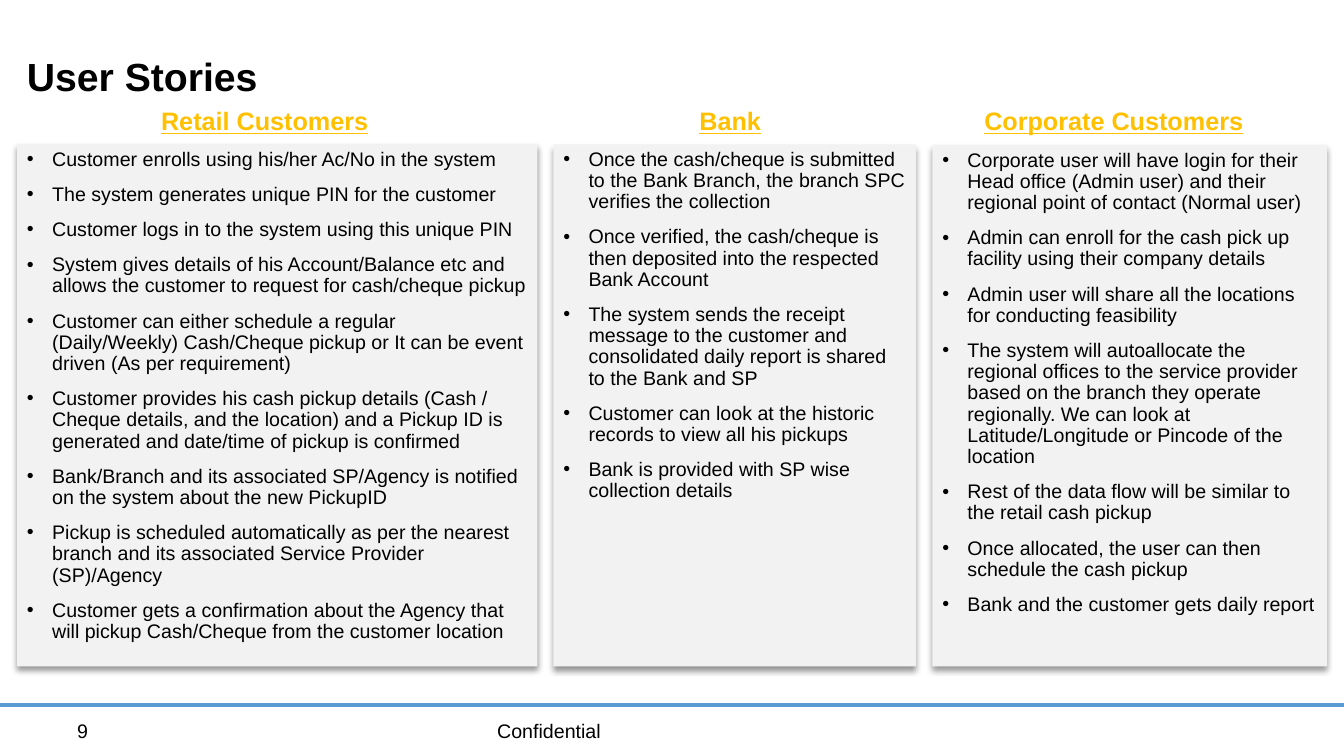
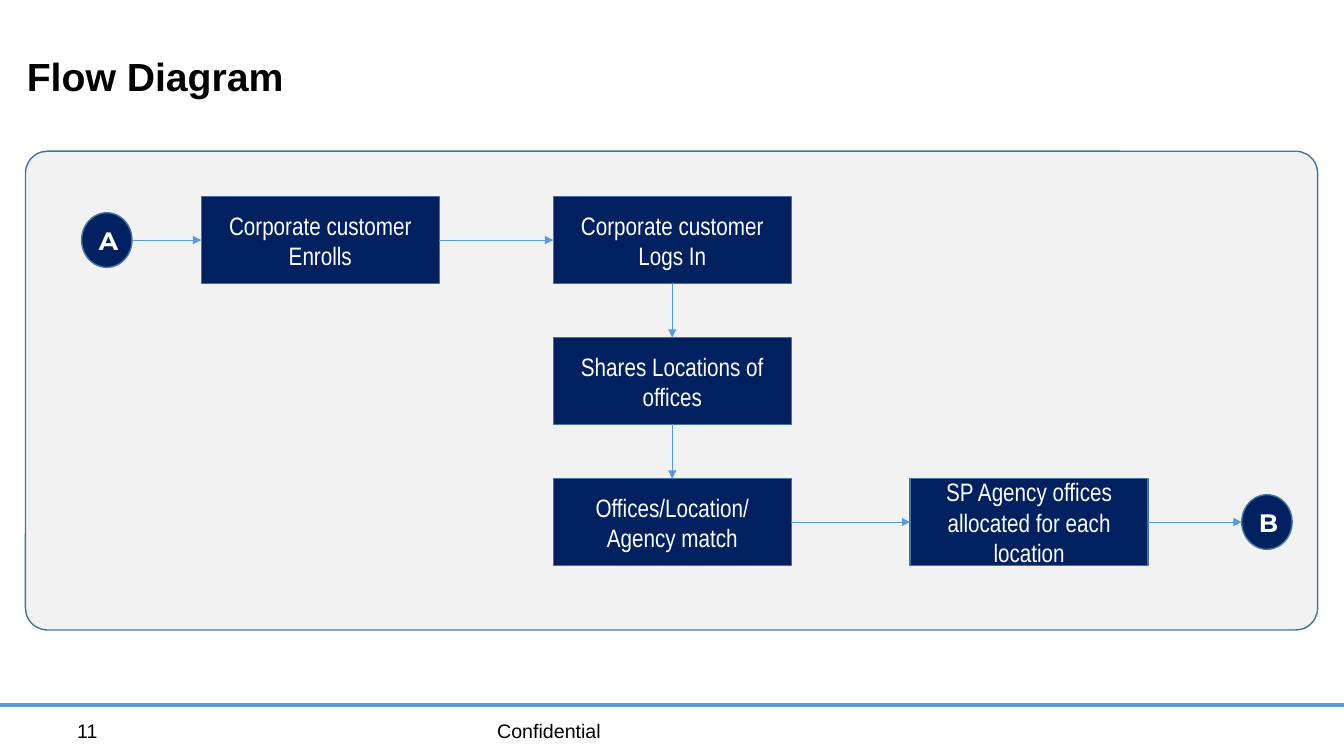
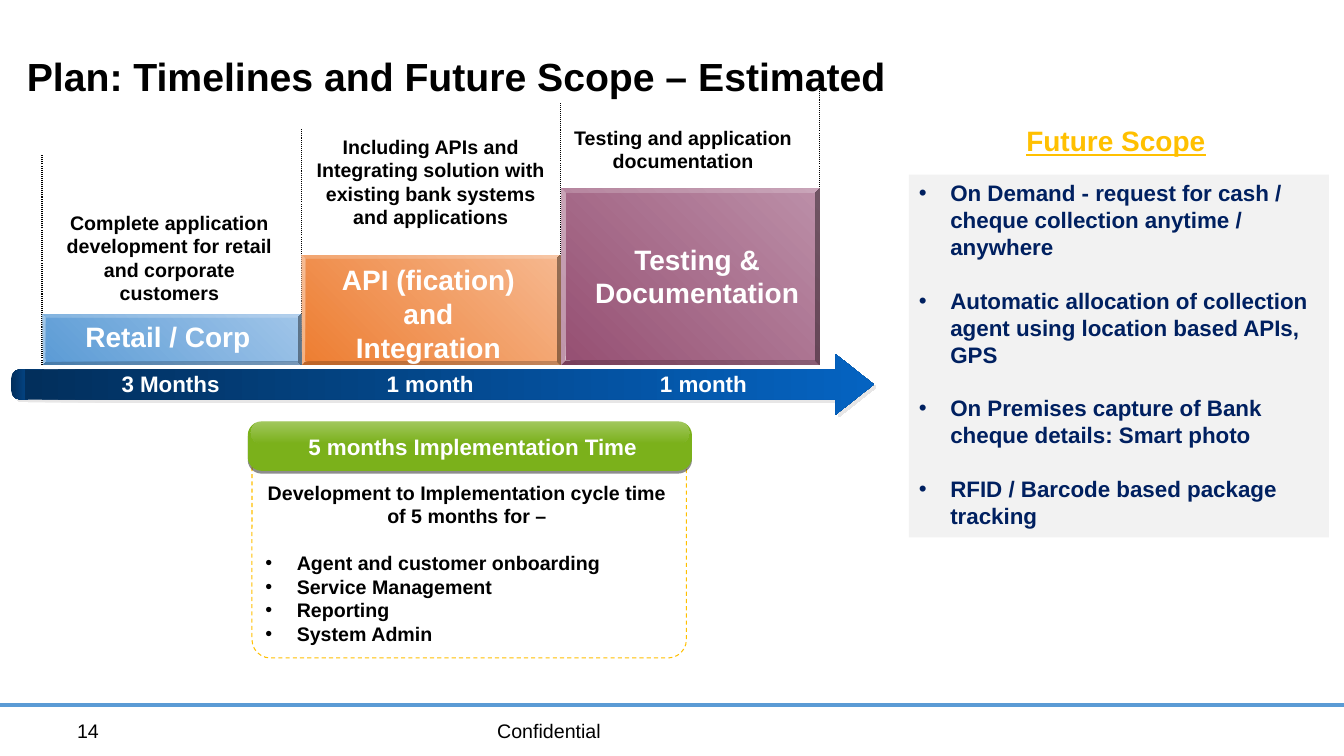
from lxml.etree import SubElement as Sub
from pptx import Presentation
from pptx.dml.color import RGBColor as Rgb
from pptx.enum.dml import MSO_LINE as Dash
from pptx.enum.shapes import MSO_CONNECTOR as Conn, MSO_SHAPE as Kind
from pptx.enum.text import MSO_ANCHOR as Anchor, MSO_AUTO_SIZE as Auto, PP_ALIGN as Align
from pptx.oxml.ns import qn
from pptx.util import Pt

HUE = {
    "black": "000000", "white": "FFFFFF", "gold": "FFC000", "panel": "F2F2F2",
    "navy": "002060", "edge": "43739E", "blue": "5B9BD5", "sky": "A0C5E9",
    "orange": "ED7D31", "peach": "F6B88F", "plum": "954F72", "mauve": "BC8FA8",
    "green": "7BB11B", "deep": "022F5C", "royal": "0563C1", "coal": "1C1C1C",
    "pale": "E7E6E6",
}

STORIES = [
    ("Retail Customers", 108, (12.2, 103, 371.8, 373), [
        "Customer enrolls using his/her Ac/No in the system",
        "The system generates unique PIN for the customer",
        "Customer logs in to the system using this unique PIN",
        "System gives details of his Account/Balance etc and allows the customer to request for cash/cheque pickup",
        "Customer can either schedule a regular (Daily/Weekly) Cash/Cheque pickup or It can be event driven (As per requirement)",
        "Customer provides his cash pickup details (Cash / Cheque details, and the location) and a Pickup ID is generated and date/time of pickup is confirmed",
        "Bank/Branch and its associated SP/Agency is notified on the system about the new PickupID",
        "Pickup is scheduled automatically as per the nearest branch and its associated Service Provider (SP)/Agency",
        "Customer gets a confirmation about the Agency that will pickup Cash/Cheque from the customer location",
    ]),
    ("Bank", 492.5, (395.3, 103.2, 258.9, 372.8), [
        "Once the cash/cheque is submitted to the Bank Branch, the branch SPC verifies the collection",
        "Once verified, the cash/cheque is then deposited into the respected Bank Account",
        "The system sends the receipt message to the customer and consolidated daily report is shared to the Bank and SP",
        "Customer can look at the historic records to view all his pickups",
        "Bank is provided with SP wise collection details",
    ]),
    ("Corporate Customers", 696, (666, 103.8, 282, 372.2), [
        "Corporate user will have login for their Head office (Admin user) and their regional point of contact (Normal user)",
        "Admin can enroll for the cash pick up facility using their company details",
        "Admin user will share all the locations for conducting feasibility",
        "The system will autoallocate the regional offices to the service provider based on the branch they operate regionally. We can look at Latitude/Longitude or Pincode of the location",
        "Rest of the data flow will be similar to the retail cash pickup",
        "Once allocated, the user can then schedule the cash pickup",
        "Bank and the customer gets daily report",
    ]),
]

NODES = {
    "A": ("A", 58.3, 0),
    "enroll": ("Corporate customer Enrolls", 143.8, 0),
    "login": ("Corporate customer Logs In", 395.2, 0),
    "share": ("Shares Locations of offices", 395.2, 1),
    "match": ("Offices/Location/Agency match", 395.2, 2),
    "agency": ("SP Agency offices allocated for each location", 650.1, 2),
    "B": ("B", 887, 2),
}
LINKS = [("A", "enroll"), ("enroll", "login"), ("login", "share"),
         ("share", "match"), ("match", "agency"), ("agency", "B")]

STEPS = [
    ("Retail / Corp", (48, 224.6, 144), 224.6, 0.059, "blue", "sky",
     "Complete application development for retail and corporate customers", (31, 146.9),
     "3 Months", 121.8),
    ("API (fication) and Integration", (234, 184.3, 144), 182.3, 0.03, "orange", "peach",
     "Including APIs and Integrating solution with existing bank systems and applications", (217.7, 92.5),
     "1 month", 307.2),
    ("Testing & Documentation", (415.2, 169.4, 165.6), 134.6, 0.025, "plum", "mauve",
     "Testing and application documentation", (398, 86.3),
     "1 month", 502.4),
]
GUIDES = [(260.5, 110.6), (243.4, 92.5), (231.8, 73.8), (231, 58.3)]
CYCLE = "Development to Implementation cycle time of 5 months for –"
AREAS = ["Agent and customer onboarding", "Service Management", "Reporting", "System Admin"]
FUTURE = [
    "On Demand - request for cash / cheque collection anytime / anywhere",
    "Automatic allocation of collection agent using location based APIs, GPS",
    "On Premises capture of Bank cheque details: Smart photo",
    "RFID / Barcode based package tracking",
]


def rgb(name):
    return Rgb.from_string(HUE[name])


def write(frame, rows, size=14, color="black", bold=False, line=False, font="Arial",
          align=Align.LEFT, bullet=0, gap=0, lead=None, wrap=True, start=0):
    frame.word_wrap = wrap
    for i, row in enumerate(rows, start):
        para = frame.paragraphs[0] if i == 0 else frame.add_paragraph()
        para.alignment = align
        para.space_before = Pt(gap if i else 0)
        if lead:
            para.line_spacing = lead
        if bullet:
            props = para._p.get_or_add_pPr()
            props.set("marL", str(Pt(bullet)))
            props.set("indent", str(-Pt(bullet)))
            Sub(props, qn("a:buFont"), typeface="Arial")
            Sub(props, qn("a:buChar"), char="•")
        run = para.add_run()
        run.text = row
        face = run.font
        face.name, face.size, face.bold, face.underline = font, Pt(size), bold, line
        face.color.rgb = rgb(color)


def label(slide, text, left, top, width, height=30, **style):
    box = slide.shapes.add_textbox(Pt(left), Pt(top), Pt(width), Pt(height))
    write(box.text_frame, [text], **style)
    return box


def shape(slide, kind, left, top, width, height, fill=None, edge=None, weight=1,
          adj=(), shade=None, angle=0, alpha=None):
    item = slide.shapes.add_shape(kind, Pt(left), Pt(top), Pt(width), Pt(height))
    for i, value in enumerate(adj):
        item.adjustments[i] = value
    if fill is None:
        item.fill.background()
    elif isinstance(fill, tuple):
        item.fill.gradient()
        item.fill.gradient_angle = angle
        for stop, name in zip(item.fill.gradient_stops, fill):
            stop.color.rgb = rgb(name)
    else:
        item.fill.solid()
        item.fill.fore_color.rgb = rgb(fill)
    if alpha:
        for tint in item._element.spPr.iter(qn("a:srgbClr")):
            Sub(tint, qn("a:alpha"), val=str(alpha * 1000))
    if edge:
        item.line.color.rgb = rgb(edge)
        item.line.width = Pt(weight)
    else:
        item.line.fill.background()
    item.shadow.inherit = False
    if shade:
        name, depth, blur, dist, turn = shade
        effects = item._element.spPr.find(qn("a:effectLst"))
        outer = Sub(effects, qn("a:outerShdw"), blurRad=str(Pt(blur)), dist=str(Pt(dist)),
                    dir=str(turn * 60000), algn="ctr", rotWithShape="0")
        Sub(Sub(outer, qn("a:srgbClr"), val=HUE[name]), qn("a:alpha"), val=str(depth * 1000))
    return item


def rule(slide, x1, y1, x2, y2, color, weight, dash=None, arrow=False):
    line = slide.shapes.add_connector(Conn.STRAIGHT, *(Pt(v) for v in (x1, y1, x2, y2)))
    line.line.color.rgb = rgb(color)
    line.line.width = Pt(weight)
    if dash:
        line.line.dash_style = dash
    if arrow:
        Sub(line.line._get_or_add_ln(), qn("a:tailEnd"), type="triangle")
    Sub(line._element.spPr, qn("a:effectLst"))
    return line


def page(deck, title, number):
    slide = deck.slides.add_slide(deck.slide_layouts[5])
    head = slide.shapes.title
    head.left, head.top, head.width, head.height = Pt(12), Pt(28.8), Pt(882), Pt(55.4)
    frame = head.text_frame
    frame.auto_size = Auto.NONE
    frame.vertical_anchor = Anchor.MIDDLE
    write(frame, [title], size=28, bold=True, lead=0.9)
    rule(slide, 0, 503.6, 960, 503.6, "blue", 2.25)
    label(slide, "Confidential", 348, 509.8, 306, 24.5)
    label(slide, number, 48, 509.8, 78, 24.5)
    return slide


def stories(deck):
    slide = page(deck, "User Stories", "9")
    for head, x, place, rows in STORIES:
        card = shape(slide, Kind.RECTANGLE, *place, "panel", shade=("black", 40, 4, 3, 90))
        card.text_frame.vertical_anchor = Anchor.TOP
        write(card.text_frame, rows, bullet=18, gap=10, lead=0.9)
        label(slide, head, x, 71.7, 200, size=18, color="gold", bold=True, line=True, wrap=False)


def flow(deck):
    slide = page(deck, "Flow Diagram", "11")
    shape(slide, Kind.ROUNDED_RECTANGLE, 18.2, 108, 923, 342, "panel", "edge", adj=[0.046])
    boxes = {}
    for key, (text, left, row) in NODES.items():
        end = key in "AB"
        kind, width, height = (Kind.OVAL, 36, 39) if end else (Kind.RECTANGLE, 170, 62)
        mid = 171.5 + 100.7 * row
        node = shape(slide, kind, left, mid - height / 2, width, height, "navy", "edge")
        node.text_frame.vertical_anchor = Anchor.MIDDLE
        write(node.text_frame, [text], size=18, color="white", bold=end,
              font="Montserrat" if end else "Arial Narrow", align=Align.CENTER)
        boxes[key] = (node, left, mid, width, height, end)
    for a, b in LINKS:
        first, x1, y1, w1, h1, round1 = boxes[a]
        last, x2, y2, w2, h2, round2 = boxes[b]
        down = x1 == x2
        if down:
            ends = x1 + w1 / 2, y1 + h1 / 2, x2 + w2 / 2, y2 - h2 / 2
        else:
            ends = x1 + w1, y1, x2, y2
        link = rule(slide, *ends, "blue", 0.5, arrow=True)
        if not round1:
            link.begin_connect(first, 2 if down else 3)
        if not round2:
            link.end_connect(last, 0 if down else 1)


def plan(deck):
    slide = page(deck, "Plan: Timelines and Future Scope – Estimated", "14")
    frame = shape(slide, Kind.ROUNDED_RECTANGLE, 180, 322, 310.3, 148, edge="gold",
                  weight=0.75, adj=[0.089])
    frame.line.dash_style = Dash.DASH
    shape(slide, Kind.ROUNDED_RECTANGLE, 177, 301, 317.3, 35.3, "green", adj=[0.279],
          shade=("coal", 50, 0, 2, 90))
    shape(slide, Kind.ROUNDED_RECTANGLE, 179.3, 301, 313, 16, ("white", "green"),
          adj=[0.5], angle=270, alpha=30)
    for kind, left, top, width, height, adj in (
            (Kind.ROUNDED_RECTANGLE, 8, 263.8, 27.4, 21.6, [0.291]),
            (Kind.RIGHT_ARROW, 18, 253, 606.2, 43.2, [0.5, 0.632])):
        shape(slide, kind, left, top, width, height, ("deep", "royal"), adj=adj,
              shade=("pale", 100, 0, 2.8, 45))
    edge, pitch, base = 30, 185.2, 260.6
    for i, (low, high) in enumerate(GUIDES):
        x = edge + i * pitch
        rule(slide, x, low, x, high, "black", 0.75, Dash.ROUND_DOT)
    mid = dict(bold=True, align=Align.CENTER)
    for i, (name, spot, top, bevel, dark, light, note, place, span, center) in enumerate(STEPS):
        shape(slide, Kind.BEVEL, edge + 0.4 + i * pitch, top, 184.8, base - top, (dark, light),
              adj=[bevel], angle=45)
        label(slide, note, *place, 180, **mid)
        label(slide, name, *spot, size=20, color="white", **mid)
        label(slide, span, center - 55, 260.8, 110, size=16, color="white", **mid)
    label(slide, "5 months Implementation Time", 182.4, 306, 310.3, size=16, color="white", **mid)
    cycle = label(slide, CYCLE, 182.4, 339.8, 302.4, 126, **mid)
    write(cycle.text_frame, AREAS[:1], bold=True, bullet=22.5, gap=16.8, start=1)
    write(cycle.text_frame, AREAS[1:], bold=True, bullet=22.5, start=2)
    scope = shape(slide, Kind.RECTANGLE, 649.2, 124.7, 300, 259.2, "panel")
    scope.text_frame.vertical_anchor = Anchor.TOP
    write(scope.text_frame, FUTURE, size=16, color="navy", bold=True, bullet=22.5, gap=19.2)
    label(slide, "Future Scope", 726, 85, 144, size=20, color="gold", bold=True,
          line=True, wrap=False)


def main():
    deck = Presentation()
    deck.slide_width, deck.slide_height = Pt(960), Pt(540)
    for build in (stories, flow, plan):
        build(deck)
    deck.save("out.pptx")


if __name__ == "__main__":
    main()
